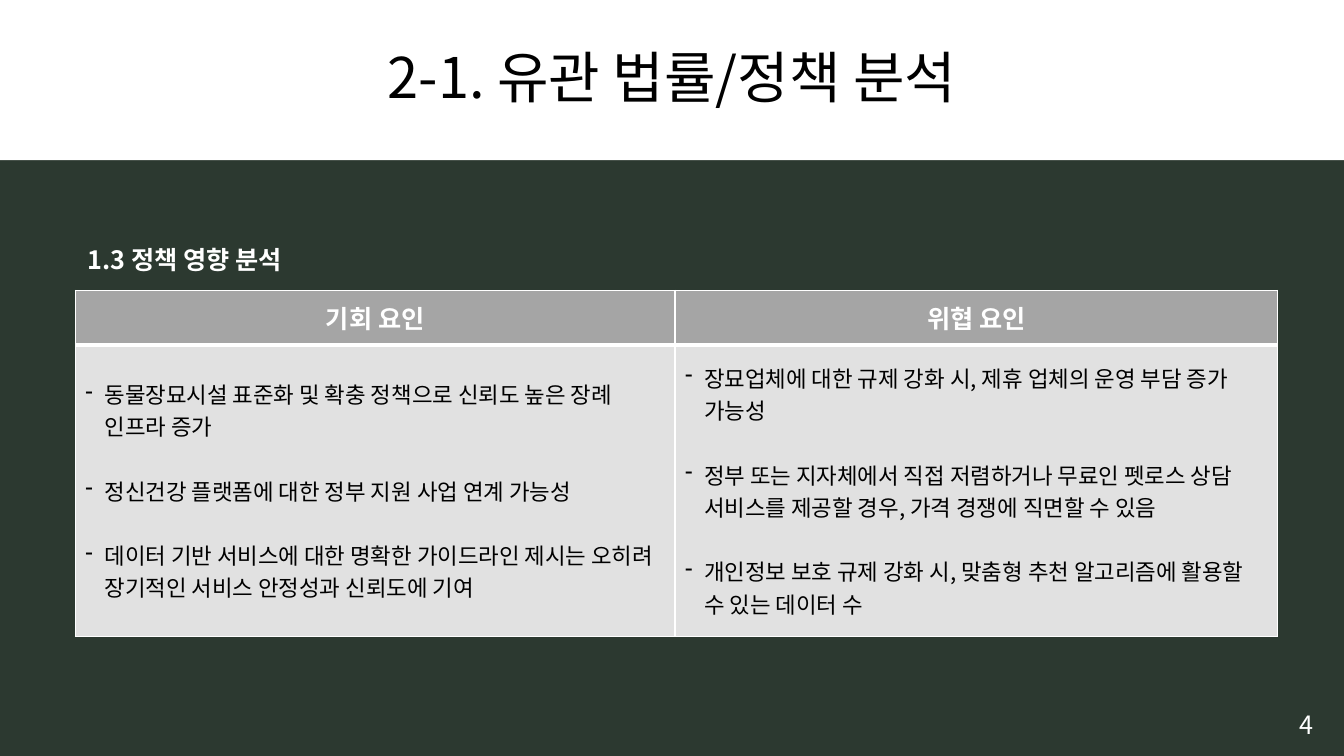
from dataclasses import dataclass

from lxml.etree import SubElement
from pptx import Presentation
from pptx.dml.color import RGBColor
from pptx.enum.shapes import MSO_SHAPE
from pptx.enum.text import MSO_ANCHOR as Anchor, PP_ALIGN as Align
from pptx.oxml.ns import qn
from pptx.util import Cm, Pt


@dataclass(frozen=True)
class Theme:
    font: str = "Noto Sans CJK KR"
    background: str = "2C3930"
    white: str = "FFFFFF"
    black: str = "000000"
    header_fill: str = "A5A5A5"
    body_fill: str = "E1E1E1"
    title_size: int = 40
    heading_size: int = 18
    body_size: int = 16
    thin_border: float = 1
    thick_border: float = 3


THEME = Theme()
FACTORS = {
    "기회 요인": [
        "동물장묘시설 표준화 및 확충 정책으로 신뢰도 높은 장례 인프라 증가",
        "정신건강 플랫폼에 대한 정부 지원 사업 연계 가능성",
        "데이터 기반 서비스에 대한 명확한 가이드라인 제시는 오히려 "
        "장기적인 서비스 안정성과 신뢰도에 기여",
    ],
    "위협 요인": [
        "장묘업체에 대한 규제 강화 시, 제휴 업체의 운영 부담 증가 가능성",
        "정부 또는 지자체에서 직접 저렴하거나 무료인 펫로스 상담 "
        "서비스를 제공할 경우, 가격 경쟁에 직면할 수 있음",
        "개인정보 보호 규제 강화 시, 맞춤형 추천 알고리즘에 활용할 수 있는 데이터 수",
    ],
}


def write(paragraph, text, size, color, bold=False, align=Align.LEFT):
    """Fill a paragraph and style it, for Latin and Korean letters alike."""
    paragraph.text = text
    paragraph.alignment = align
    font = paragraph.font
    font.size, font.bold, font.name = Pt(size), bold, THEME.font
    font.color.rgb = RGBColor.from_string(color)
    defaults = paragraph._p.pPr.find(qn("a:defRPr"))
    SubElement(defaults, qn("a:ea"), typeface=THEME.font)


def add_title_band(slide, left, top, width, height):
    band = slide.shapes.add_shape(MSO_SHAPE.RECTANGLE, left, top, width, height)
    band.shadow.inherit = False
    band.fill.solid()
    band.fill.fore_color.rgb = RGBColor.from_string(THEME.white)
    band.line.fill.background()
    band.text_frame.vertical_anchor = Anchor.MIDDLE
    title = band.text_frame.paragraphs[0]
    title.line_spacing = 0.9
    write(title, "2-1. 유관 법률/정책 분석", THEME.title_size, THEME.black,
          align=Align.CENTER)


def add_label(slide, text, left, top, width, height, bold=False, align=Align.LEFT):
    frame = slide.shapes.add_textbox(left, top, width, height).text_frame
    frame.word_wrap = True
    write(frame.paragraphs[0], text, THEME.heading_size, THEME.white, bold, align)


def style_cell(cell, fill, top, bottom):
    """Set a cell's fill and white borders; top and bottom are widths in points."""
    properties = cell._tc.get_or_add_tcPr()
    sides = {"L": THEME.thin_border, "R": THEME.thin_border, "T": top, "B": bottom}
    for side, points in sides.items():
        border = SubElement(properties, qn(f"a:ln{side}"), w=str(Pt(points)))
        SubElement(SubElement(border, qn("a:solidFill")), qn("a:srgbClr"),
                   val=THEME.white)
    cell.fill.solid()
    cell.fill.fore_color.rgb = RGBColor.from_string(fill)
    cell.vertical_anchor = Anchor.MIDDLE


def write_dashed_list(frame, items):
    for index, item in enumerate(items):
        paragraph = frame.add_paragraph() if index else frame.paragraphs[0]
        if index:
            paragraph.space_before = Pt(23)
        properties = paragraph._p.get_or_add_pPr()
        properties.set("marL", str(Cm(0.48)))
        properties.set("indent", str(-Cm(0.48)))
        SubElement(properties, qn("a:buFontTx"))
        SubElement(properties, qn("a:buChar"), char="-")
        write(paragraph, item, THEME.body_size, THEME.black)


def add_factor_table(slide, left, top, width, height):
    table = slide.shapes.add_table(2, len(FACTORS), left, top, width, height).table
    table.horz_banding = False
    header_height = Cm(1.37)
    table.rows[0].height = header_height
    table.rows[1].height = height - header_height
    first_width = Cm(15.11)
    table.columns[0].width = first_width
    table.columns[1].width = width - first_width
    for column, (factor, items) in enumerate(FACTORS.items()):
        header, body = table.cell(0, column), table.cell(1, column)
        style_cell(header, THEME.header_fill, THEME.thin_border, THEME.thick_border)
        write(header.text_frame.paragraphs[0], factor, THEME.heading_size,
              THEME.white, True, Align.CENTER)
        style_cell(body, THEME.body_fill, THEME.thick_border, THEME.thin_border)
        write_dashed_list(body.text_frame, items)


def add_policy_section(slide, left, top, width, height):
    """Place the section heading with its table below it."""
    add_label(slide, "1.3 정책 영향 분석", left + Cm(0.06), top, Cm(5.89), Cm(1.03),
              bold=True)
    table_offset = Cm(1.3)
    add_factor_table(slide, left, top + table_offset, width, height - table_offset)


def main():
    deck = Presentation()
    deck.slide_width, deck.slide_height = Cm(33.87), Cm(19.05)
    slide = deck.slides.add_slide(deck.slide_layouts[6])
    slide.background.fill.solid()
    slide.background.fill.fore_color.rgb = RGBColor.from_string(THEME.background)
    add_title_band(slide, 0, 0, deck.slide_width, Cm(4.04))
    add_label(slide, "4", Cm(31.98), Cm(17.75), Cm(1.89), Cm(1.03),
              align=Align.CENTER)
    add_policy_section(slide, Cm(1.9), Cm(6.02), Cm(30.3), Cm(10.01))
    deck.save("out.pptx")


if __name__ == "__main__":
    main()
